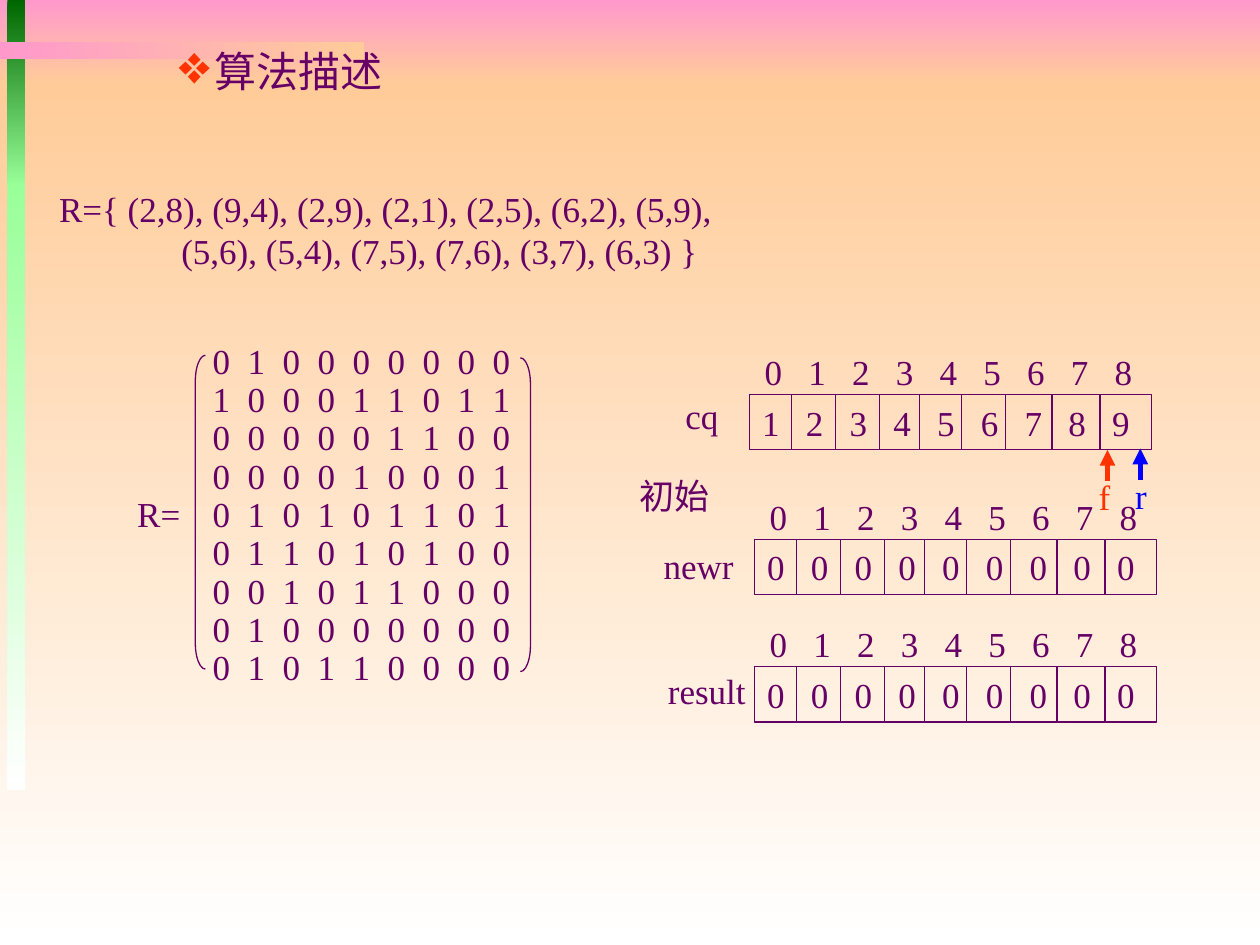
from lxml.etree import SubElement
from pptx import Presentation
from pptx.dml.color import RGBColor
from pptx.enum.shapes import MSO_CONNECTOR as Connector, MSO_SHAPE as Shape
from pptx.enum.text import MSO_ANCHOR as Anchor, MSO_AUTO_SIZE as AutoSize, PP_ALIGN as Align
from pptx.oxml.ns import qn
from pptx.util import Inches, Pt

COLORS = {
    "ink": "660066", "red": "FF3300", "blue": "0000FF", "pink": "FF99CC",
    "peach": "FFCC99", "dark_green": "006600", "light_green": "99FF99", "white": "FFFFFF",
}
MATRIX = [
    "010000000", "100011011", "000001100", "000010001", "010101101",
    "011010100", "001011000", "010000000", "010110000",
]
INDEXES = "012345678"
DIVIDERS = (0.33, 0.68, 1.03, 1.35, 1.68, 2.03, 2.4, 2.78)
ROW_HEIGHT = 0.44
MATRIX_PITCH, ARRAY_PITCH = Pt(20), Pt(25)


def rgb(name):
    return RGBColor.from_string(COLORS[name])


def add_gradient(slide, box, start, end, angle=270):
    shape = slide.shapes.add_shape(Shape.RECTANGLE, *map(Inches, box))
    shape.shadow.inherit = False
    shape.line.fill.background()
    shape.fill.gradient()
    shape.fill.gradient_angle = angle
    for stop, color in zip(shape.fill.gradient_stops, (start, end)):
        stop.color.rgb = rgb(color)


def add_outline(slide, kind, box):
    shape = slide.shapes.add_shape(kind, *map(Inches, box))
    shape.shadow.inherit = False
    shape.fill.background()
    shape.line.color.rgb = rgb("ink")
    shape.line.width = Pt(0.75)
    return shape


def add_line(slide, start, end, color="ink", width=0.75, arrow=False):
    line = slide.shapes.add_connector(Connector.STRAIGHT, *map(Inches, start + end))
    line.line.color.rgb = rgb(color)
    line.line.width = Pt(width)
    properties = line.element.spPr
    if arrow:
        SubElement(properties.find(qn("a:ln")), qn("a:tailEnd"), type="triangle")
    SubElement(properties, qn("a:effectLst"))


def format_paragraph(paragraph, color="ink", align=Align.LEFT, size=20, font="Times New Roman"):
    paragraph.alignment = align
    paragraph.font.name = font
    paragraph.font.size = Pt(size)
    paragraph.font.color.rgb = rgb(color)


def add_label(slide, text, box, color="ink"):
    frame = slide.shapes.add_textbox(*map(Inches, box)).text_frame
    frame.word_wrap = False
    frame.margin_left = frame.margin_right = 0
    frame.vertical_anchor = Anchor.MIDDLE
    frame.text = text
    format_paragraph(frame.paragraphs[0], color, Align.CENTER)


def write_digits(shape, digits, pitch):
    """Write digits in equal columns, one tab stop for each column."""
    frame = shape.text_frame
    frame.word_wrap = True
    frame.vertical_anchor = Anchor.MIDDLE
    frame.margin_right = 0
    paragraph = frame.paragraphs[0]
    paragraph.text = "\t".join(digits)
    tabs = SubElement(paragraph._p.get_or_add_pPr(), qn("a:tabLst"))
    for column in range(1, len(digits)):
        SubElement(tabs, qn("a:tab"), pos=str(pitch * column), algn="l")
    format_paragraph(paragraph)


def add_background(slide, width, height):
    band = 0.67
    add_gradient(slide, (0, 0, width, band), "pink", "peach")
    add_gradient(slide, (0, band, width, height - band), "peach", "white")
    add_gradient(slide, (0.06, 0, 0.14, 1.48), "dark_green", "light_green")
    add_gradient(slide, (0.06, 1.46, 0.14, 4.81), "light_green", "white")
    add_gradient(slide, (0, 0.33, 2.89, 0.14), "pink", "peach", angle=0)


def add_title(slide, box):
    title = slide.shapes.title
    title.left, title.top, title.width, title.height = map(Inches, box)
    title.element.getparent().append(title.element)  # in front of the background
    frame = title.text_frame
    frame.text = "算法描述"
    frame.auto_size = AutoSize.NONE
    frame.vertical_anchor = Anchor.TOP
    paragraph = frame.paragraphs[0]
    properties = paragraph._p.get_or_add_pPr()
    properties.set("marL", str(Inches(1.29)))
    properties.set("indent", str(Inches(-0.28)))
    bullet_color = SubElement(properties, qn("a:buClr"))
    SubElement(bullet_color, qn("a:srgbClr"), val=COLORS["red"])
    SubElement(properties, qn("a:buSzPct"), val="130000")
    SubElement(properties, qn("a:buChar"), char="❖")
    format_paragraph(paragraph, size=24, font="Arial")


def add_relation(slide, box):
    frame = slide.shapes.add_textbox(*map(Inches, box)).text_frame
    frame.word_wrap = True
    frame.margin_right = 0
    frame.text = ("R={ (2,8), (9,4), (2,9), (2,1), (2,5), (6,2), (5,9),\n"
                  "(5,6), (5,4), (7,5), (7,6), (3,7), (6,3) }")
    for paragraph in frame.paragraphs:
        format_paragraph(paragraph)
    frame.paragraphs[1]._p.get_or_add_pPr().set("marL", str(Inches(0.97)))


def add_matrix(slide, box):
    left, top, width, height = box
    step = (height - ROW_HEIGHT) / (len(MATRIX) - 1)
    for row, digits in enumerate(MATRIX):
        row_box = (left, top + row * step, width, ROW_HEIGHT)
        write_digits(slide.shapes.add_textbox(*map(Inches, row_box)), digits, MATRIX_PITCH)
    for kind, x, y in ((Shape.LEFT_BRACKET, left - 0.04, top + 0.18),
                       (Shape.RIGHT_BRACKET, left + width - 0.02, top + 0.2)):
        bracket = add_outline(slide, kind, (x, y, 0.08, 2.49))
        bracket.adjustments[0] = 2.6
    add_label(slide, "R=", (left - 0.6, top + 4 * step, 0.54, ROW_HEIGHT))


def add_array(slide, box, values, name, name_box):
    left, top, width, height = box
    write_digits(add_outline(slide, Shape.RECTANGLE, box), values, ARRAY_PITCH)
    for offset in DIVIDERS:
        add_line(slide, (left + offset, top), (left + offset, top + height))
    index_box = (left + 0.02, top - 0.4, width, height)
    write_digits(slide.shapes.add_textbox(*map(Inches, index_box)), INDEXES, ARRAY_PITCH)
    add_label(slide, name, name_box)


def add_pointer(slide, box, name, color, text_left):
    x, top, length = box
    add_line(slide, (x, top + length), (x, top), color, 3, arrow=True)
    add_label(slide, name, (text_left, top + 0.15, 0.29, ROW_HEIGHT), color)


def main():
    presentation = Presentation()
    presentation.slide_width, presentation.slide_height = Inches(10), Inches(7.5)
    slide = presentation.slides.add_slide(presentation.slide_layouts[5])
    add_background(slide, 10, 7.5)
    add_title(slide, (0.31, 0.31, 3.77, 0.38))
    add_relation(slide, (0.37, 1.44, 5.38, 0.77))
    add_matrix(slide, (1.59, 2.64, 2.56, 2.87))

    # Queue and its work arrays
    add_array(slide, (5.95, 3.13, 3.19, ROW_HEIGHT), "123456789", "cq",
              (5.34, 3.08, 0.46, ROW_HEIGHT))
    add_array(slide, (5.99, 4.28, 3.19, ROW_HEIGHT), "0" * 9, "newr",
              (5.17, 4.27, 0.75, ROW_HEIGHT))
    add_array(slide, (5.99, 5.29, 3.19, ROW_HEIGHT), "0" * 9, "result",
              (5.2, 5.26, 0.82, ROW_HEIGHT))
    add_label(slide, "初始", (4.98, 3.71, 0.75, ROW_HEIGHT))

    # Front and rear pointers
    add_pointer(slide, (8.79, 3.57, 0.25), "f", "red", 8.62)
    add_pointer(slide, (9.05, 3.56, 0.25), "r", "blue", 8.91)
    presentation.save("out.pptx")


if __name__ == "__main__":
    main()
